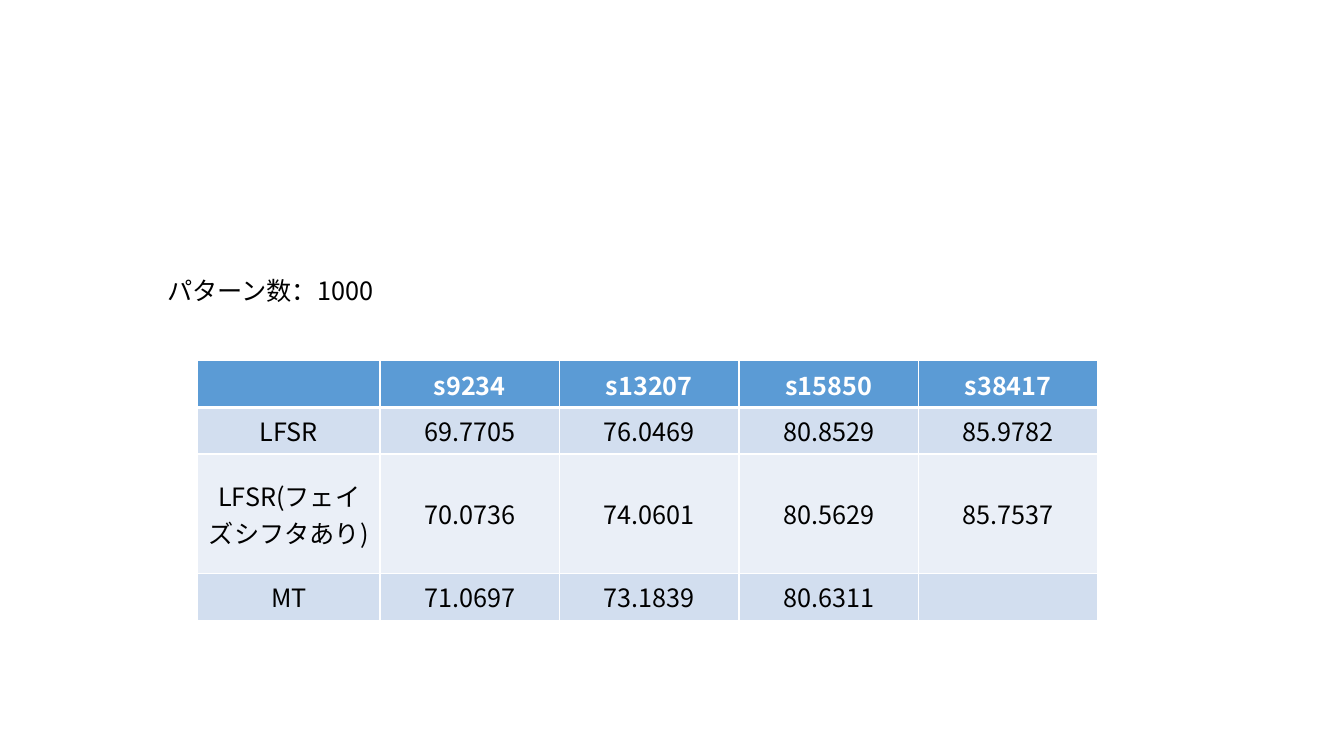
from lxml import etree
from pptx import Presentation
from pptx.dml.color import RGBColor
from pptx.enum.text import MSO_ANCHOR, MSO_AUTO_SIZE, PP_ALIGN
from pptx.oxml.ns import qn
from pptx.util import Inches, Pt

CENTER = PP_ALIGN.CENTER
MIDDLE = MSO_ANCHOR.MIDDLE
GROW = MSO_AUTO_SIZE.SHAPE_TO_FIT_TEXT
FONT = "Noto Sans CJK JP"
BLACK, WHITE = "000000", "FFFFFF"
HEADER_FILL = "5B9BD5"
BAND_FILLS = ("EAEFF7", "D2DEEF")

CAPTION = "パターン数：1000"
COVERAGE = [
    ("", "s9234", "s13207", "s15850", "s38417"),
    ("LFSR", "69.7705", "76.0469", "80.8529", "85.9782"),
    ("LFSR(フェイズシフタあり)", "70.0736", "74.0601", "80.5629", "85.7537"),
    ("MT", "71.0697", "73.1839", "80.6311", ""),
]
COLUMN_WIDTHS = [1.81] + [1.78] * 4
ROW_HEIGHT = 0.41


def rgb(color):
    return RGBColor.from_string(color)


def style_text(para, color, bold=False):
    for span in para.runs:
        span.font.size = Pt(18)
        span.font.name = FONT
        span.font.bold = bold
        span.font.color.rgb = rgb(color)
        properties = span.font.fill._xPr
        east_asian = etree.SubElement(properties, qn("a:ea"))
        east_asian.set("typeface", FONT)


def add_borders(cell, top, bottom):
    properties = cell._tc.get_or_add_tcPr()
    for side, points in (("L", 1), ("R", 1), ("T", top), ("B", bottom)):
        line = etree.SubElement(properties, qn("a:ln" + side), w=str(Pt(points)))
        fill = etree.SubElement(line, qn("a:solidFill"))
        etree.SubElement(fill, qn("a:srgbClr"), val=WHITE)


deck = Presentation()
deck.slide_width, deck.slide_height = Inches(13.33), Inches(7.5)
page = deck.slides.add_slide(deck.slide_layouts[6])

table = page.shapes.add_table(
    len(COVERAGE), len(COLUMN_WIDTHS), Inches(1.96), Inches(3.58),
    Inches(sum(COLUMN_WIDTHS)), Inches(ROW_HEIGHT * len(COVERAGE)),
).table
for column, width in zip(table.columns, COLUMN_WIDTHS):
    column.width = Inches(width)

for row_index, values in enumerate(COVERAGE):
    table.rows[row_index].height = Inches(ROW_HEIGHT)
    is_header = row_index == 0
    for column_index, value in enumerate(values):
        cell = table.cell(row_index, column_index)
        add_borders(cell, 3 if row_index == 1 else 1, 3 if is_header else 1)
        cell.fill.solid()
        cell.fill.fore_color.rgb = rgb(HEADER_FILL if is_header else BAND_FILLS[row_index % 2])
        cell.vertical_anchor = MIDDLE
        cell.text_frame.text = value
        para = cell.text_frame.paragraphs[0]
        para.alignment = CENTER
        style_text(para, WHITE if is_header else BLACK, is_header)

caption = page.shapes.add_textbox(Inches(1.56), Inches(2.68), Inches(2.88), Inches(0.4))
caption.text_frame.word_wrap = True
caption.text_frame.auto_size = GROW
caption.text_frame.text = CAPTION
style_text(caption.text_frame.paragraphs[0], BLACK)

deck.save("out.pptx")
